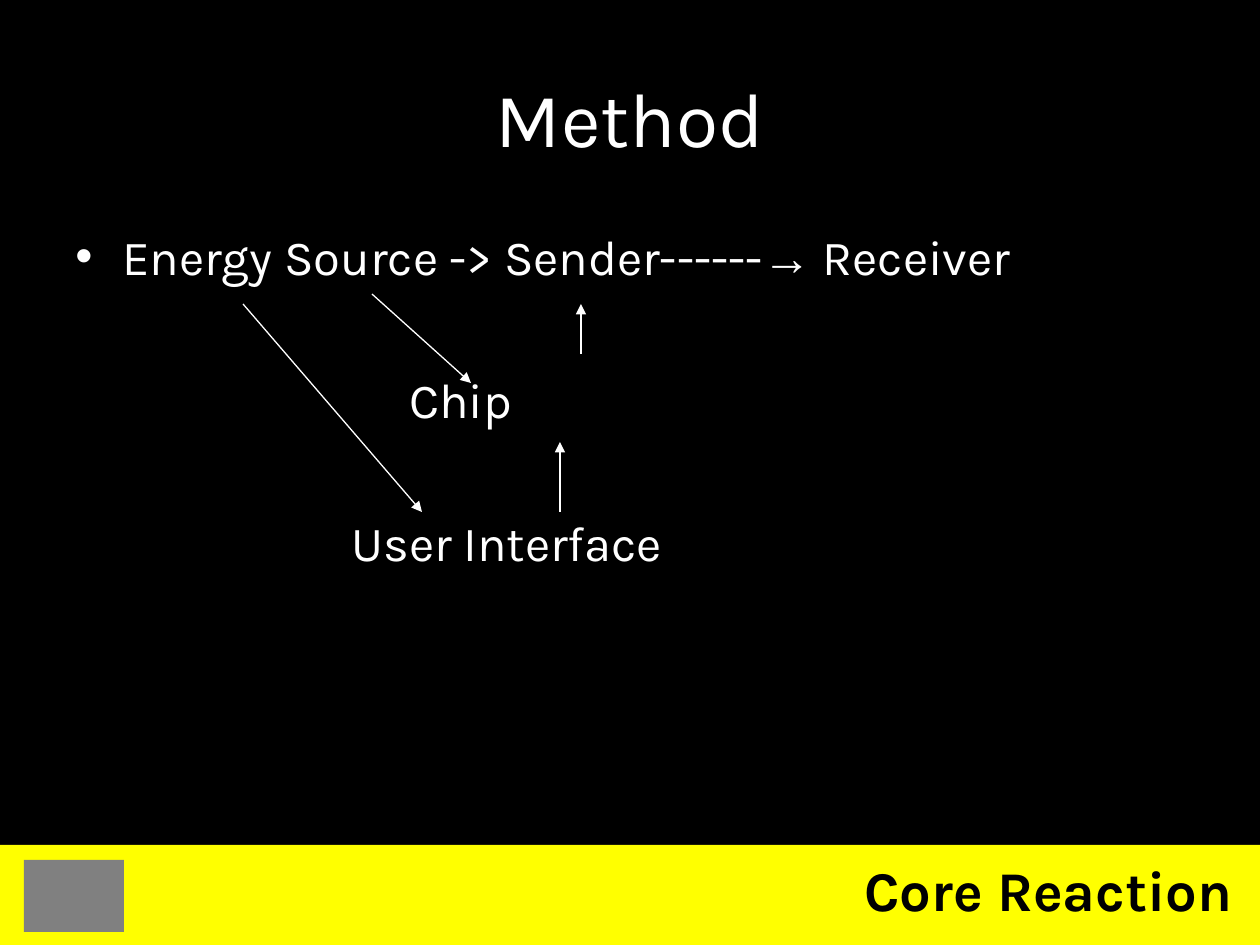
from pptx import Presentation
from pptx.dml.color import RGBColor
from pptx.enum.shapes import MSO_CONNECTOR as CONNECTOR, MSO_SHAPE as SHAPE
from pptx.enum.text import MSO_ANCHOR as ANCHOR, PP_ALIGN as ALIGN
from pptx.oxml.ns import qn
from pptx.util import Pt
from lxml.etree import SubElement

PX = 7258  # EMU in a pixel at 126 px to the inch
WIDTH, HEIGHT = 1260, 945
BLACK = RGBColor(0, 0, 0)
WHITE = RGBColor(255, 255, 255)
YELLOW = RGBColor(255, 255, 0)
GRAY = RGBColor(128, 128, 128)


class SlideBuilder:
    font = "Karla"
    symbol_font = "Arial"
    hanging = 47

    def __init__(self, slide):
        self.slide = slide

    def background(self, color):
        fill = self.slide.background.fill
        fill.solid()
        fill.fore_color.rgb = color

    def block(self, x, y, w, h, color):
        shape = self.slide.shapes.add_shape(SHAPE.RECTANGLE, x * PX, y * PX, w * PX, h * PX)
        shape.shadow.inherit = False
        shape.fill.solid()
        shape.fill.fore_color.rgb = color
        shape.line.fill.background()

    def text(self, x, y, w, h, parts, size, color=WHITE, bold=False,
             align=ALIGN.LEFT, anchor=ANCHOR.TOP, bullet=False):
        """Parts are (words, font) pairs; font None keeps the paragraph font."""
        frame = self.slide.shapes.add_textbox(x * PX, y * PX, w * PX, h * PX).text_frame
        frame.word_wrap = True
        frame.vertical_anchor = anchor
        paragraph = frame.paragraphs[0]
        paragraph.alignment = align
        if bullet:
            props = paragraph._p.get_or_add_pPr()
            props.set("marL", str(self.hanging * PX))
            props.set("indent", str(-self.hanging * PX))
            SubElement(props, qn("a:buFont"), typeface=self.symbol_font)
            SubElement(props, qn("a:buChar"), char="•")
        paragraph.font.name = self.font
        paragraph.font.size = Pt(size)
        paragraph.font.bold = bold
        paragraph.font.color.rgb = color
        for words, font in parts:
            run = paragraph.add_run()
            run.text = words
            if font:
                run.font.name = font

    def arrow(self, x1, y1, x2, y2):
        line = self.slide.shapes.add_connector(
            CONNECTOR.STRAIGHT, x1 * PX, y1 * PX, x2 * PX, y2 * PX)
        line.line.color.rgb = WHITE
        line.line.width = Pt(0.75)
        SubElement(line.line._get_or_add_ln(), qn("a:tailEnd"), type="triangle")
        SubElement(line._element.spPr, qn("a:effectLst"))


def main():
    deck = Presentation()
    deck.slide_width, deck.slide_height = WIDTH * PX, HEIGHT * PX
    page = SlideBuilder(deck.slides.add_slide(deck.slide_layouts[6]))
    page.background(BLACK)

    # Footer band with emblem and team name
    page.block(0, 845, WIDTH, 100, YELLOW)
    page.block(24, 860, 100, 72, GRAY)
    page.text(630, 849, 615, 81, [("Core Reaction", None)], 32, BLACK,
              bold=True, align=ALIGN.RIGHT)

    # Title
    page.text(63, 38, 1134, 158, [("Method", None)], 44,
              align=ALIGN.CENTER, anchor=ANCHOR.MIDDLE)

    # Signal chain and the parts that feed it
    chain = [("Energy Source -> Sender------", None),
             ("→", page.symbol_font), (" Receiver", None)]
    page.text(63, 220, 1134, 70, chain, 28, bullet=True)
    page.text(397, 363, 160, 70, [("Chip", None)], 28)
    page.text(339, 506, 380, 70, [("User Interface", None)], 28)

    # Arrows: energy to chip and interface, interface to chip, chip to sender
    for ends in ((372, 294, 471, 383), (243, 304, 422, 512),
                 (560, 512, 560, 442), (581, 354, 581, 304)):
        page.arrow(*ends)

    deck.save("out.pptx")


if __name__ == "__main__":
    main()
